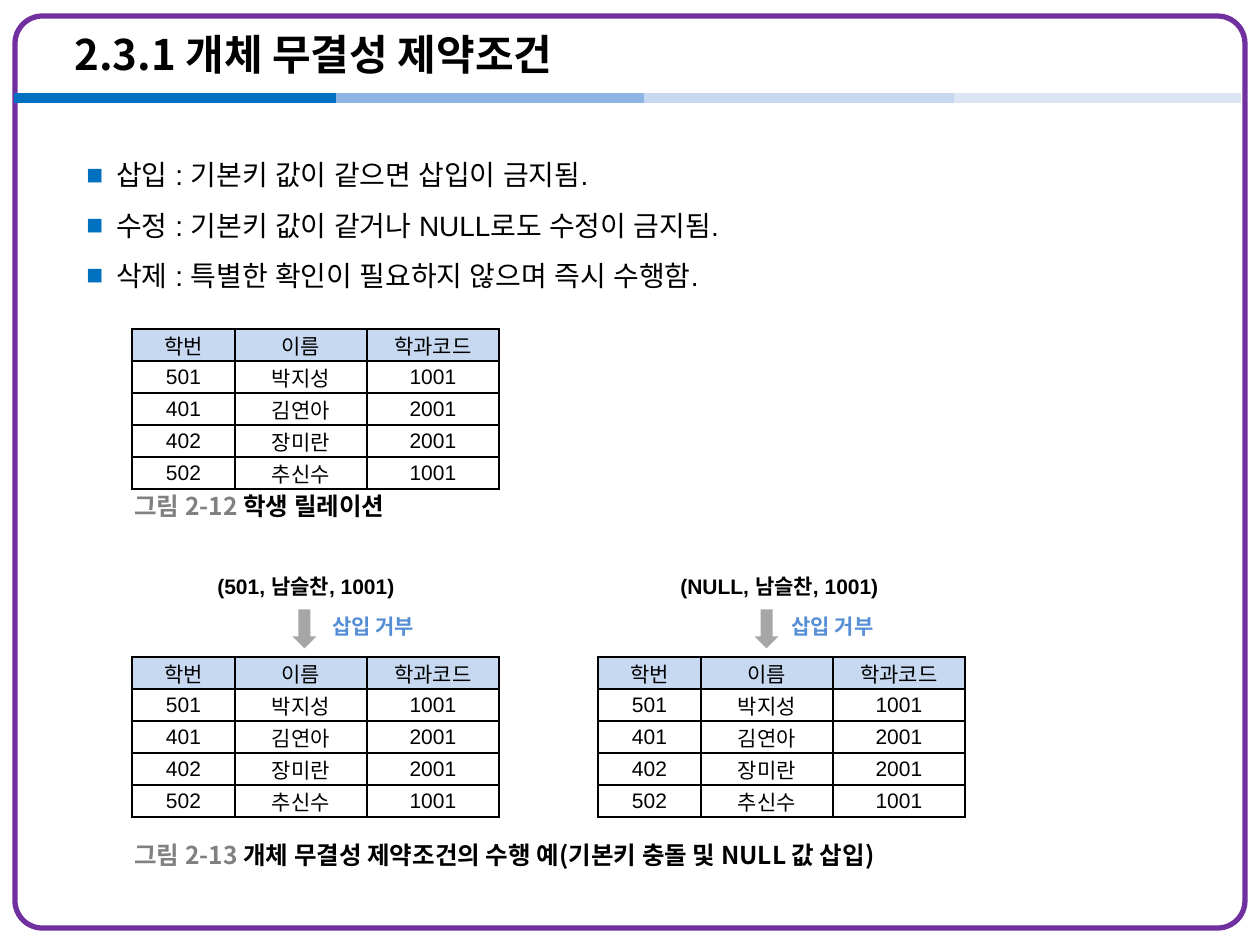
from lxml.etree import SubElement
from pptx import Presentation
from pptx.dml.color import RGBColor
from pptx.enum.shapes import MSO_CONNECTOR, MSO_SHAPE
from pptx.enum.text import MSO_ANCHOR, PP_ALIGN
from pptx.oxml.ns import qn
from pptx.util import Pt

COLORS = {
    "black": "000000", "white": "FFFFFF", "frame": "7030A0", "bullet": "0070C0",
    "header": "C6D9F1", "gray": "808080", "arrow": "A6A6A6", "reject": "558ED5",
}
KOREAN, LATIN = "Noto Sans CJK KR", "Arial"

# Content
TITLE = "2.3.1 개체 무결성 제약조건"
RULES = [
    "삽입 : 기본키 값이 같으면 삽입이 금지됨.",
    "수정 : 기본키 값이 같거나 NULL로도 수정이 금지됨.",
    "삭제 : 특별한 확인이 필요하지 않으며 즉시 수행함.",
]
STUDENTS = [
    ("학번", "이름", "학과코드"),
    ("501", "박지성", "1001"),
    ("401", "김연아", "2001"),
    ("402", "장미란", "2001"),
    ("502", "추신수", "1001"),
]
CAPTIONS = [  # number, text, top, width
    ("그림 2-12 ", "학생 릴레이션", 486, 320),
    ("그림 2-13 ", "개체 무결성 제약조건의 수행 예(기본키 충돌 및 NULL 값 삽입)", 835, 900),
]
REJECTED = "삽입 거부"
INSERTS = [  # tuple, its left and width, arrow left, verdict left
    ("(501, 남슬찬, 1001)", 205, 217, 285, 320),
    ("(NULL, 남슬찬, 1001)", 668, 234, 747, 779),
]
RULER = [(14, 336, "0070C0"), (336, 659, "8EB4E3"), (644, 966, "C6D9F1"), (954, 1241, "DCE6F2")]
TABLE_SPOTS = [(132, 329), (132, 657), (598, 657)]
COLUMN_WIDTHS = (103, 132, 132)
ROW_HEIGHT = 32


def px(value):
    return round(value * 914400 / 126)


def rgb(name):
    return RGBColor.from_string(COLORS.get(name, name))


def style_font(run, size, color="black", face=LATIN, east=KOREAN, bold=False):
    values = {"size": Pt(size), "name": face, "bold": bold}
    for key, value in values.items():
        setattr(run.font, key, value)
    run.font.color.rgb = rgb(color)
    SubElement(run.font._element, qn("a:ea"), typeface=east)


def add_text(box, paragraphs, anchor=MSO_ANCHOR.TOP, wrap=True):
    """Each paragraph is a list of (text, font values) runs."""
    frame = slide.shapes.add_textbox(*map(px, box)).text_frame
    frame.word_wrap = wrap
    frame.vertical_anchor = anchor
    for index, runs in enumerate(paragraphs):
        paragraph = frame.paragraphs[0] if index == 0 else frame.add_paragraph()
        for text, values in runs:
            run = paragraph.add_run()
            run.text = text
            style_font(run, **values)
    return frame


def add_bullet(paragraph):
    paragraph.line_spacing = 1.5
    props = paragraph._p.get_or_add_pPr()
    props.set("marL", str(px(30)))
    props.set("indent", str(px(-30)))
    color = SubElement(props, qn("a:buClr"))
    SubElement(color, qn("a:srgbClr"), val=COLORS["bullet"])
    SubElement(props, qn("a:buFont"), typeface=LATIN)
    SubElement(props, qn("a:buChar"), char="■")


def format_cell(cell, text, fill):
    values = {
        "margin_left": px(1), "margin_right": px(1), "margin_top": px(1),
        "margin_bottom": 0, "vertical_anchor": MSO_ANCHOR.MIDDLE,
    }
    for key, value in values.items():
        setattr(cell, key, value)
    paragraph = cell.text_frame.paragraphs[0]
    paragraph.alignment = PP_ALIGN.CENTER
    run = paragraph.add_run()
    run.text = text
    style_font(run, 12)
    props = cell._tc.get_or_add_tcPr()
    for side in ("lnL", "lnR", "lnT", "lnB"):
        border = SubElement(props, qn(f"a:{side}"), w=str(Pt(1)))
        solid = SubElement(border, qn("a:solidFill"))
        SubElement(solid, qn("a:srgbClr"), val=COLORS["black"])
    cell.fill.solid()
    cell.fill.fore_color.rgb = rgb(fill)


def add_students(left, top):
    size = (sum(COLUMN_WIDTHS), ROW_HEIGHT * len(STUDENTS))
    table = slide.shapes.add_table(
        len(STUDENTS), len(COLUMN_WIDTHS), *map(px, (left, top, *size))).table
    for column, width in zip(table.columns, COLUMN_WIDTHS):
        column.width = px(width)
    for r, student in enumerate(STUDENTS):
        for c, text in enumerate(student):
            format_cell(table.cell(r, c), text, "white" if r else "header")


deck = Presentation()
deck.slide_width, deck.slide_height = px(1260), px(945)
slide = deck.slides.add_slide(deck.slide_layouts[6])

# Frame and four-tone ruler
frame = slide.shapes.add_shape(MSO_SHAPE.ROUNDED_RECTANGLE, *map(px, (15, 16, 1230, 912)))
frame.adjustments[0] = 0.03
frame.shadow.inherit = False
frame.fill.background()
frame.line.color.rgb = rgb("frame")
frame.line.width = Pt(3)
for start, end, tone in RULER:
    segment = slide.shapes.add_connector(MSO_CONNECTOR.STRAIGHT, *map(px, (start, 98, end, 98)))
    segment.line.color.rgb = rgb(tone)
    segment.line.width = Pt(6)
    SubElement(segment._element.spPr, qn("a:effectLst"))

# Title and rules
add_text((62, 16, 1042, 76), [[(TITLE, {"size": 24, "face": KOREAN, "bold": True})]],
         MSO_ANCHOR.MIDDLE)
rules = add_text((74, 135, 1111, 753),
                 [[(rule, {"size": 16, "east": LATIN})] for rule in RULES])
for paragraph in rules.paragraphs:
    add_bullet(paragraph)

# Student relations and captions
for spot in TABLE_SPOTS:
    add_students(*spot)
for number, caption, top, width in CAPTIONS:
    bold = {"size": 14, "face": KOREAN, "bold": True}
    add_text((122, top, width, 39), [[(number, {**bold, "color": "gray"}), (caption, bold)]],
             MSO_ANCHOR.MIDDLE)

# Rejected inserts
for values, left, width, arrow_left, verdict_left in INSERTS:
    add_text((left, 567, width, 38), [[(values, {"size": 12, "bold": True})]], wrap=False)
    arrow = slide.shapes.add_shape(MSO_SHAPE.RIGHT_ARROW, *map(px, (arrow_left, 617, 39, 24)))
    arrow.rotation = 90
    arrow.shadow.inherit = False
    arrow.fill.solid()
    arrow.fill.fore_color.rgb = rgb("arrow")
    arrow.line.fill.background()
    add_text((verdict_left, 607, 174, 38),
             [[(REJECTED, {"size": 12, "color": "reject", "face": KOREAN, "bold": True})]])

deck.save("out.pptx")
